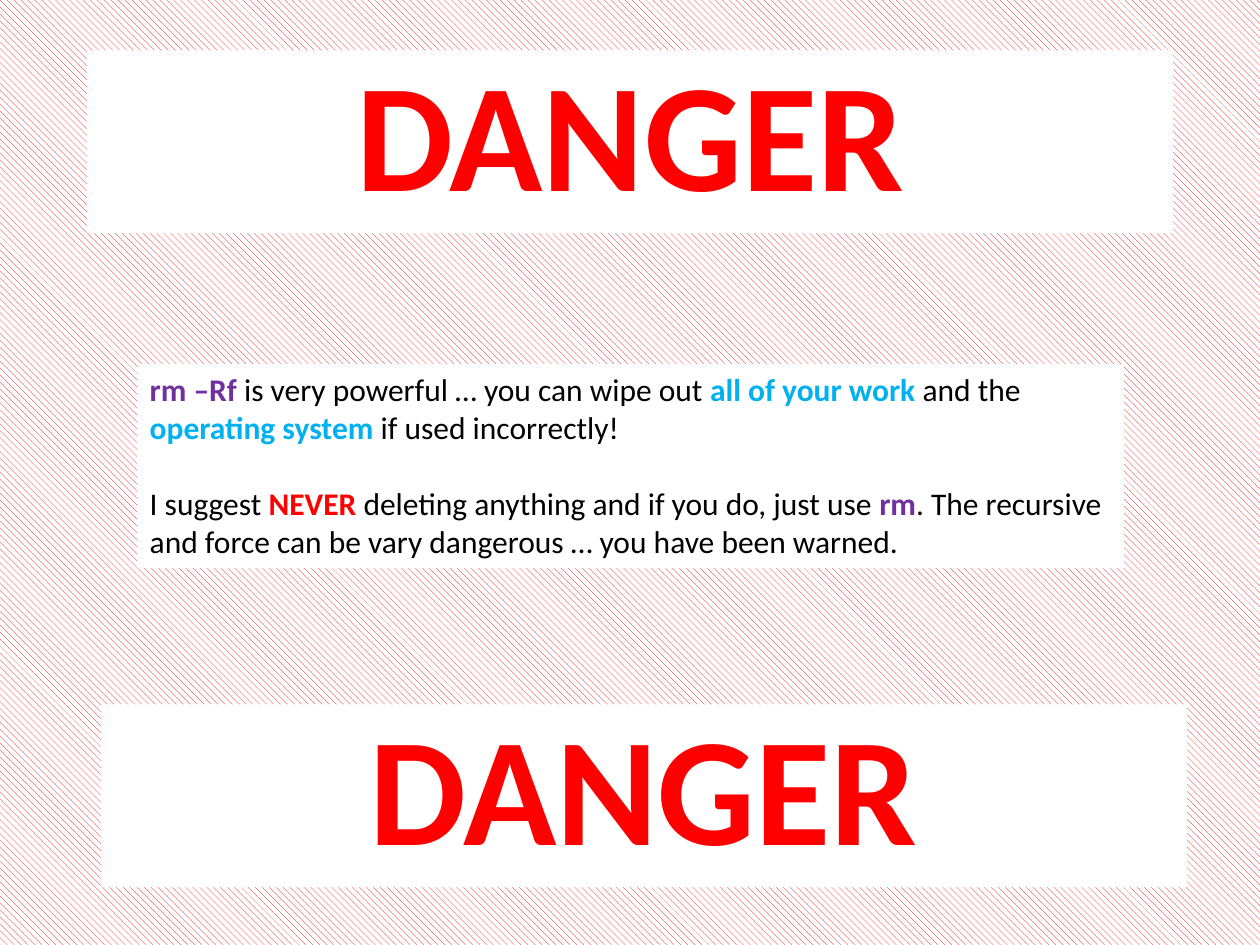
from pptx import Presentation
from pptx.dml.color import RGBColor
from pptx.enum.dml import MSO_PATTERN
from pptx.enum.shapes import MSO_SHAPE
from pptx.enum.text import MSO_ANCHOR, MSO_AUTO_SIZE, PP_ALIGN
from pptx.util import Inches, Pt

RECT = MSO_SHAPE.RECTANGLE
STRIPES = MSO_PATTERN.WIDE_DOWNWARD_DIAGONAL
MIDDLE, CENTER = MSO_ANCHOR.MIDDLE, PP_ALIGN.CENTER
NO_FIT, GROW = MSO_AUTO_SIZE.NONE, MSO_AUTO_SIZE.SHAPE_TO_FIT_TEXT

THEME = {
    "font": "Calibri",
    "banner": 88,
    "body": 18,
    "gap": 22,
    "paper": "FFFFFF",
    "text": "000000",
    "alert": "FF0000",
    "command": "7030A0",
    "target": "00B0F0",
}

SIZE = (10, 7.5)
WORD = "DANGER"
TOP_BOX = (0.69, 0.4, 8.62, 1.45)
LOW_BOX = (0.8, 5.59, 8.62, 1.45)
NOTE_BOX = (1.09, 2.89, 7.83, 1.62)

# Each paragraph is a list of (words, colour role)
WARNING = [
    [
        ("rm –Rf ", "command"),
        ("is very powerful … you can wipe out ", "text"),
        ("all of your work ", "target"),
        ("and the ", "text"),
        ("operating system ", "target"),
        ("if used incorrectly!", "text"),
    ],
    [
        ("I suggest ", "text"),
        ("NEVER ", "alert"),
        ("deleting anything and if you do, just use ", "text"),
        ("rm", "command"),
        (". The recursive and force can be vary dangerous … "
         "you have been warned.", "text"),
    ],
]


def color(role):
    return RGBColor.from_string(THEME[role])


def place(shape, box):
    shape.left, shape.top, shape.width, shape.height = map(Inches, box)


def paint(shape):
    shape.fill.solid()
    shape.fill.fore_color.rgb = color("paper")


def style(run, size, role):
    font = run.font
    font.name, font.size = THEME["font"], Pt(THEME[size])
    font.bold = role != "text"
    font.color.rgb = color(role)


def add_stripes(slide):
    back = slide.shapes.add_shape(RECT, 0, 0, *map(Inches, SIZE))
    back.shadow.inherit = False
    back.line.fill.background()
    back.fill.patterned()
    back.fill.pattern = STRIPES
    back.fill.fore_color.rgb = color("alert")
    back.fill.back_color.rgb = color("paper")


def set_banner(shape, box):
    place(shape, box)
    paint(shape)
    frame = shape.text_frame
    frame.text = WORD
    frame.word_wrap, frame.auto_size = True, NO_FIT
    frame.vertical_anchor = MIDDLE
    para = frame.paragraphs[0]
    para.alignment, para.line_spacing = CENTER, 0.9
    style(para.runs[0], "banner", "alert")


def add_note(slide):
    note = slide.shapes.add_textbox(*map(Inches, NOTE_BOX))
    paint(note)
    frame = note.text_frame
    frame.word_wrap, frame.auto_size = True, GROW
    for i, parts in enumerate(WARNING):
        para = frame.add_paragraph() if i else frame.paragraphs[0]
        if i:
            para.space_before = Pt(THEME["gap"])
        for words, role in parts:
            run = para.add_run()
            run.text = words
            style(run, "body", role)


def main():
    deck = Presentation()
    deck.slide_width, deck.slide_height = map(Inches, SIZE)
    slide = deck.slides.add_slide(deck.slide_layouts[5])
    add_stripes(slide)
    title = slide.shapes.title
    # Bring the title in front of the stripes
    slide.shapes._spTree.append(title._element)
    set_banner(title, TOP_BOX)
    set_banner(slide.shapes.add_textbox(*map(Inches, LOW_BOX)), LOW_BOX)
    add_note(slide)
    deck.save("out.pptx")


if __name__ == "__main__":
    main()
